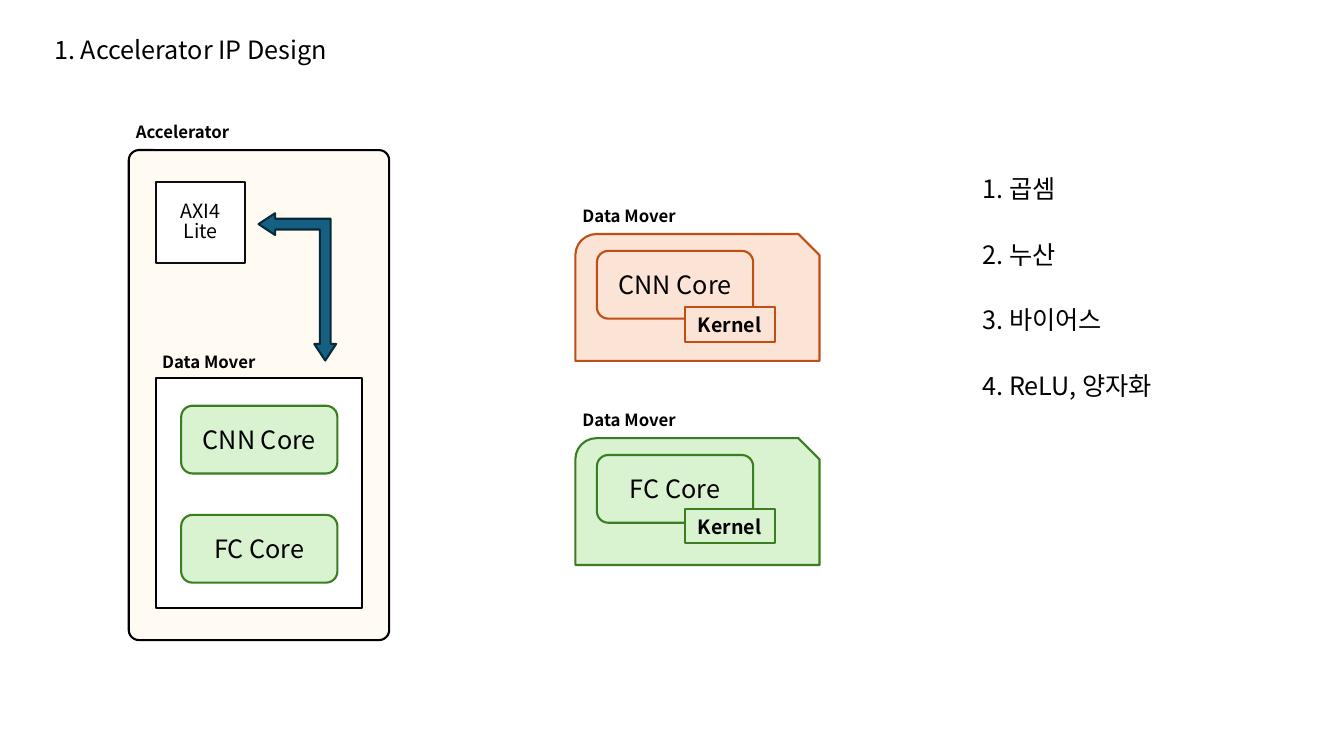
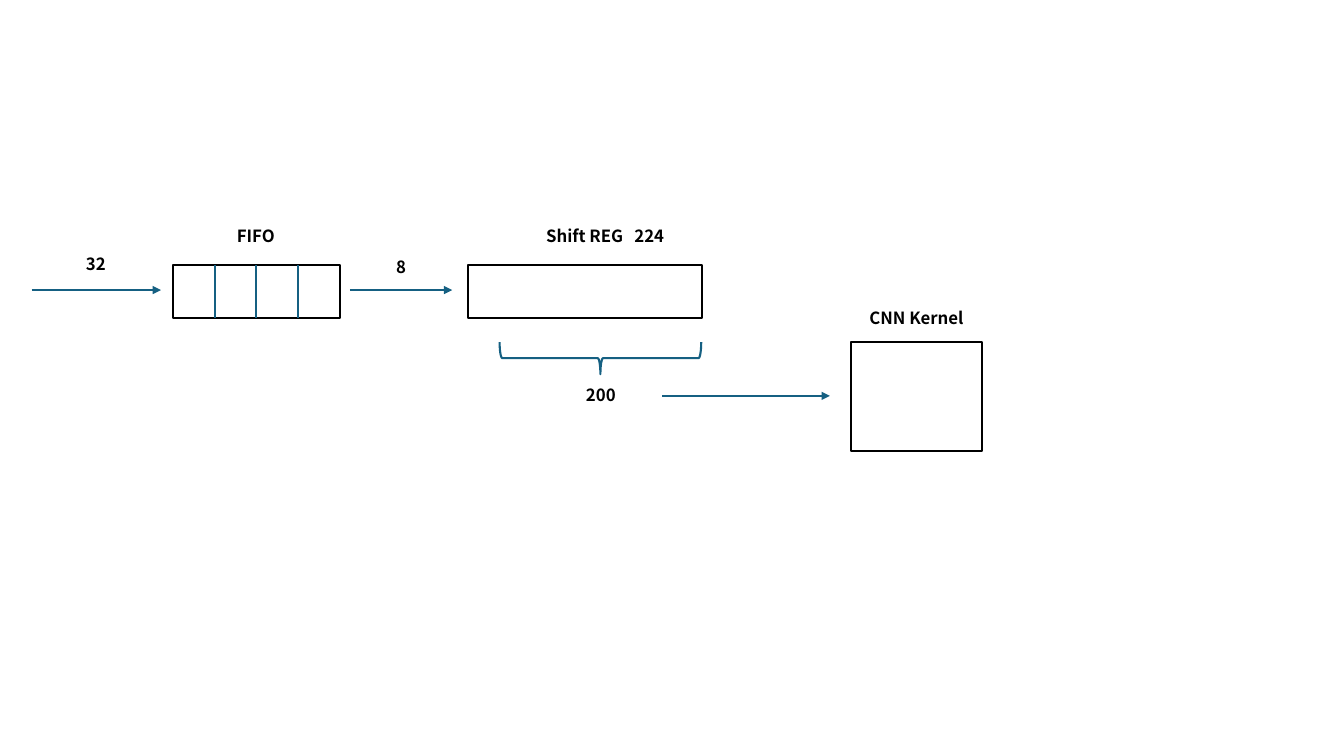
from dataclasses import dataclass
from typing import NamedTuple

from lxml import etree
from pptx import Presentation
from pptx.dml.color import RGBColor
from pptx.enum.shapes import MSO_CONNECTOR, MSO_SHAPE
from pptx.enum.text import MSO_ANCHOR, PP_ALIGN
from pptx.oxml.ns import qn
from pptx.util import Pt

RECT = MSO_SHAPE.RECTANGLE
ROUND = MSO_SHAPE.ROUNDED_RECTANGLE
SNIP = MSO_SHAPE.SNIP_ROUND_RECTANGLE
BENT_ARROW = MSO_SHAPE.LEFT_UP_ARROW
BRACE = MSO_SHAPE.LEFT_BRACE
STRAIGHT = MSO_CONNECTOR.STRAIGHT
LEFT, CENTER = PP_ALIGN.LEFT, PP_ALIGN.CENTER
TOP, MIDDLE = MSO_ANCHOR.TOP, MSO_ANCHOR.MIDDLE

FONT = "Noto Sans CJK KR"
LINE_WIDTH = 1.5
BLACK = RGBColor(0x00, 0x00, 0x00)
NEAR_BLACK = RGBColor(0x0D, 0x0D, 0x0D)
WHITE = RGBColor(0xFF, 0xFF, 0xFF)
CREAM = RGBColor(0xFF, 0xFB, 0xF3)
TEAL = RGBColor(0x15, 0x60, 0x82)
DARK_TEAL = RGBColor(0x09, 0x2A, 0x39)
LIGHT_GREEN = RGBColor(0xD9, 0xF2, 0xD0)
GREEN = RGBColor(0x3B, 0x7D, 0x23)
LIGHT_ORANGE = RGBColor(0xFB, 0xE3, 0xD6)
ORANGE = RGBColor(0xC0, 0x4F, 0x15)


class Box(NamedTuple):
    x: float
    y: float
    w: float
    h: float


class Label(NamedTuple):
    text: str
    x: float
    y: float


class Arrow(NamedTuple):
    x1: float
    x2: float
    y: float


@dataclass
class Mover:
    core: str
    y: float
    kernel_dy: float
    fill: RGBColor
    line: RGBColor


# Shared drawing functions
def write(sp, text: str, *, size: float = 18, bold: bool = False,
          align=CENTER, anchor=MIDDLE, spacing: float | None = None) -> None:
    tf = sp.text_frame
    tf.word_wrap = True
    tf.vertical_anchor = anchor
    tf.text = text
    for p in tf.paragraphs:
        p.alignment = align
        if spacing:
            p.line_spacing = spacing
        for r in p.runs:
            r.font.size = Pt(size)
            r.font.bold = bold
            r.font.color.rgb = BLACK
            r.font.name = FONT
            rpr = r._r.get_or_add_rPr()
            etree.SubElement(rpr, qn("a:ea"), typeface=FONT)


def add_text(shapes, text: str, box: Box, **fmt) -> None:
    sp = shapes.add_textbox(*map(Pt, box))
    write(sp, text, anchor=TOP, **fmt)


def add_label(shapes, label: Label, align=CENTER) -> None:
    box = Box(label.x, label.y, 88, 24)
    add_text(shapes, label.text, box, size=12, bold=True, align=align)


def add_box(shapes, kind, box: Box, fill: RGBColor | None, line: RGBColor,
            adj: tuple[float, ...] = (), rotation: float = 0):
    sp = shapes.add_shape(kind, *map(Pt, box))
    sp.shadow.inherit = False
    if fill is None:
        sp.fill.background()
    else:
        sp.fill.solid()
        sp.fill.fore_color.rgb = fill
    sp.line.color.rgb = line
    sp.line.width = Pt(LINE_WIDTH)
    for i, value in enumerate(adj):
        sp.adjustments[i] = value
    sp.rotation = rotation
    return sp


def add_core(shapes, text: str, x: float, y: float,
             fill: RGBColor, line: RGBColor) -> None:
    write(add_box(shapes, ROUND, Box(x, y, 111.6, 48.4), fill, line), text)


def add_line(shapes, x1: float, y1: float, x2: float, y2: float,
             head: bool = False) -> None:
    cxn = shapes.add_connector(STRAIGHT, Pt(x1), Pt(y1), Pt(x2), Pt(y2))
    cxn.line.color.rgb = TEAL
    cxn.line.width = Pt(LINE_WIDTH)
    sppr = cxn.element.spPr
    if head:
        etree.SubElement(sppr.get_or_add_ln(), qn("a:tailEnd"), type="triangle")
    etree.SubElement(sppr, qn("a:effectLst"))


# Slide 1: accelerator blocks
MOVERS = [
    Mover("CNN Core", 167.2, 52.4, LIGHT_ORANGE, ORANGE),
    Mover("FC Core", 313, 50.6, LIGHT_GREEN, GREEN),
]
STEPS = ["1. 곱셈", "2. 누산", "3. 바이어스", "4. ReLU, 양자화"]


def add_accelerator(shapes) -> None:
    add_box(shapes, ROUND, Box(92, 107.2, 186, 350), CREAM, BLACK, (0.039,))
    axi = add_box(shapes, RECT, Box(111.6, 129.8, 63.4, 58.4), WHITE, NEAR_BLACK)
    write(axi, "AXI4\nLite", size=14, spacing=0.85)
    add_box(shapes, RECT, Box(111.6, 270, 147, 164.2), WHITE, BLACK)
    for i, core in enumerate(["CNN Core", "FC Core"]):
        add_core(shapes, core, 129.4, 289.8 + 78 * i, LIGHT_GREEN, GREEN)
    for label in (Label("Data Mover", 108.7, 247.6), Label("Accelerator", 90, 83.4)):
        add_label(shapes, label, LEFT)
    add_box(shapes, BENT_ARROW, Box(159.8, 177.2, 105.2, 55.4), TEAL, DARK_TEAL,
            (0.139, 0.14, 0.213), 270)


def add_mover(shapes, mover: Mover) -> None:
    x, y, colours = 411, mover.y, (mover.fill, mover.line)
    add_box(shapes, SNIP, Box(x, y, 174.4, 90.6), *colours)
    add_core(shapes, mover.core, x + 15.4, y + 12, *colours)
    kernel = add_box(shapes, RECT, Box(x + 78, y + mover.kernel_dy, 64.4, 24.5), *colours)
    write(kernel, "Kernel", size=14, bold=True)
    add_label(shapes, Label("Data Mover", x - 2, y - 24), LEFT)


def design_slide(prs) -> None:
    s = prs.slides.add_slide(prs.slide_layouts[6])
    add_text(s.shapes, "1. Accelerator IP Design", Box(31.7, 21, 232, 29), align=LEFT)
    add_accelerator(s.shapes.add_group_shape().shapes)
    for mover in MOVERS:
        add_mover(s.shapes.add_group_shape().shapes, mover)
    for i, step in enumerate(STEPS):
        add_text(s.shapes, step, Box(694.8, 120.2 + 46.9 * i, 154, 29), align=LEFT)


# Slide 2: data path into the kernel
FIFO = Box(123.8, 189.4, 118.8, 38)
FIFO_CELLS = 4
SHIFT_REG = Box(334.6, 189.4, 166.6, 38)
CNN_KERNEL = Box(607.8, 244.2, 94, 77.8)
ARROWS = [Arrow(22.6, 115, 207.2), Arrow(250, 323, 207.2), Arrow(473, 592.8, 282.8)]
PATH_LABELS = [
    Label("32", 24.5, 178),
    Label("Shift REG", 373.7, 157.6),
    Label("8", 242.6, 180),
    Label("224", 419.8, 157.6),
    Label("200", 385.2, 271.6),
    Label("CNN Kernel", 610.6, 216),
]


def add_fifo(shapes) -> None:
    add_box(shapes, RECT, FIFO, WHITE, BLACK)
    add_label(shapes, Label("FIFO", 138.8, 157.6))
    for i in range(1, FIFO_CELLS):
        x = FIFO.x + FIFO.w * i / FIFO_CELLS
        add_line(shapes, x, FIFO.y, x, FIFO.y + FIFO.h)


def path_slide(prs) -> None:
    s = prs.slides.add_slide(prs.slide_layouts[6])
    add_fifo(s.shapes.add_group_shape().shapes)
    for box in (SHIFT_REG, CNN_KERNEL):
        add_box(s.shapes, RECT, box, WHITE, BLACK)
    add_box(s.shapes, BRACE, Box(417.4, 183.8, 23, 144), None, TEAL, rotation=270)
    for arrow in ARROWS:
        add_line(s.shapes, arrow.x1, arrow.y, arrow.x2, arrow.y, head=True)
    for label in PATH_LABELS:
        add_label(s.shapes, label)


def main() -> None:
    prs = Presentation()
    prs.slide_width, prs.slide_height = Pt(960), Pt(540)
    design_slide(prs)
    path_slide(prs)
    prs.save("out.pptx")


if __name__ == "__main__":
    main()
